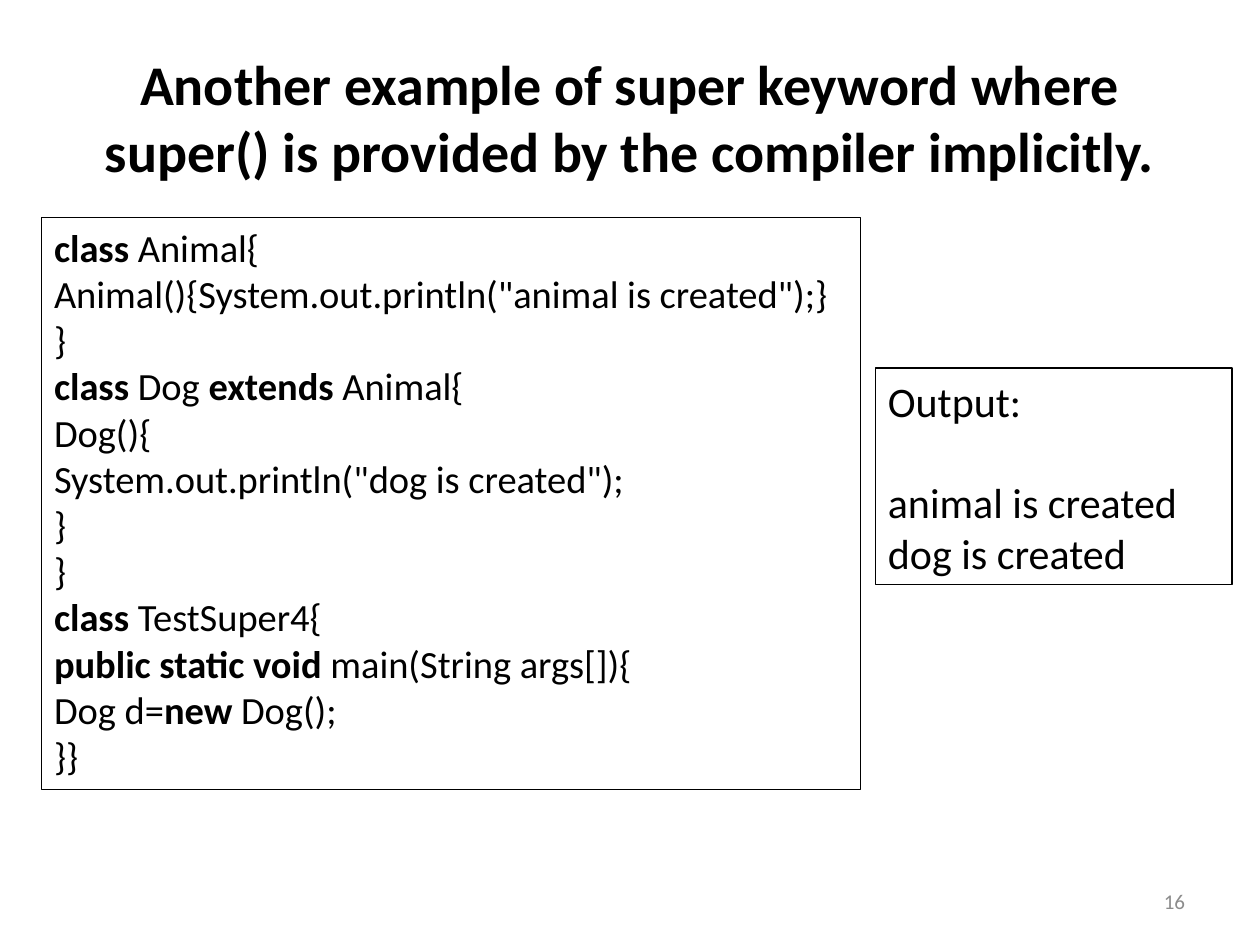
from dataclasses import dataclass

from pptx import Presentation, util as u
from pptx.dml.color import RGBColor
from pptx.enum import shapes, text

COLOURS = {"ink": "000000", "paper": "FFFFFF", "muted": "8C8C8C"}
FONT = "Calibri"
BOLD_MARK = "*"  # text between two marks is bold


@dataclass(frozen=True)
class Panel:
    left: float
    top: float
    width: float
    height: float
    lines: tuple[str, ...]
    size: int
    align: text.PP_ALIGN = text.PP_ALIGN.LEFT
    anchor: text.MSO_ANCHOR = text.MSO_ANCHOR.MIDDLE
    colour: str = "ink"
    framed: bool = False
    gap_after_first: float = 0


PANELS = (
    Panel(1.27, 0.76, 22.86, 3.18,
          ("*Another example of super keyword where "
           "super() is provided by the compiler implicitly.*",),
          size=32, align=text.PP_ALIGN.CENTER),
    Panel(0.84, 4.39, 16.51, 11.53,
          ("*class* Animal{",
           'Animal(){System.out.println("animal is created");}',
           "}",
           "*class* Dog *extends* Animal{",
           "Dog(){",
           'System.out.println("dog is created");',
           "}",
           "}",
           "*class* TestSuper4{",
           "*public static void* main(String args[]){",
           "Dog d=*new* Dog();",
           "}}"),
          size=22, anchor=text.MSO_ANCHOR.TOP, framed=True),
    Panel(17.65, 7.42, 7.19, 4.37,
          ("Output:", "animal is created", "dog is created"),
          size=24, align=text.PP_ALIGN.JUSTIFY, framed=True,
          gap_after_first=29.3),
    Panel(18.21, 17.65, 5.93, 1.02, ("16",),
          size=12, align=text.PP_ALIGN.RIGHT, colour="muted"),
)


def set_all(target: object, values: dict) -> None:
    for name, value in values.items():
        setattr(target, name, value)


def rgb(name: str) -> RGBColor:
    return RGBColor.from_string(COLOURS[name])


def add_line(para, line: str, panel: Panel) -> None:
    """Write one line, switching bold on and off at each mark."""
    para.alignment = panel.align
    for index, part in enumerate(line.split(BOLD_MARK)):
        if part:
            span = para.add_run()
            span.text = part
            set_all(span.font, {"name": FONT, "size": u.Pt(panel.size),
                                "bold": index % 2 == 1})
            span.font.color.rgb = rgb(panel.colour)


def add_panel(page, panel: Panel) -> None:
    place = [u.Cm(n) for n in (panel.left, panel.top, panel.width, panel.height)]
    if panel.framed:
        box = page.shapes.add_shape(shapes.MSO_SHAPE.RECTANGLE, *place)
        box.shadow.inherit = False
        box.fill.background()
        box.line.color.rgb = rgb("ink")
        box.line.width = u.Pt(0.75)
    else:
        box = page.shapes.add_textbox(*place)
    frame = box.text_frame
    fit = text.MSO_AUTO_SIZE
    set_all(frame, {"word_wrap": True, "vertical_anchor": panel.anchor,
                    "auto_size": fit.SHAPE_TO_FIT_TEXT if panel.framed else fit.NONE})
    for index, line in enumerate(panel.lines):
        para = frame.add_paragraph() if index else frame.paragraphs[0]
        add_line(para, line, panel)
    if panel.gap_after_first:
        frame.paragraphs[0].space_after = u.Pt(panel.gap_after_first)


def main() -> None:
    deck = Presentation()
    set_all(deck, {"slide_width": u.Cm(25.4), "slide_height": u.Cm(19.05)})
    page = deck.slides.add_slide(deck.slide_layouts[6])
    page.background.fill.solid()
    page.background.fill.fore_color.rgb = rgb("paper")
    for panel in PANELS:
        add_panel(page, panel)
    deck.save("out.pptx")


if __name__ == "__main__":
    main()
